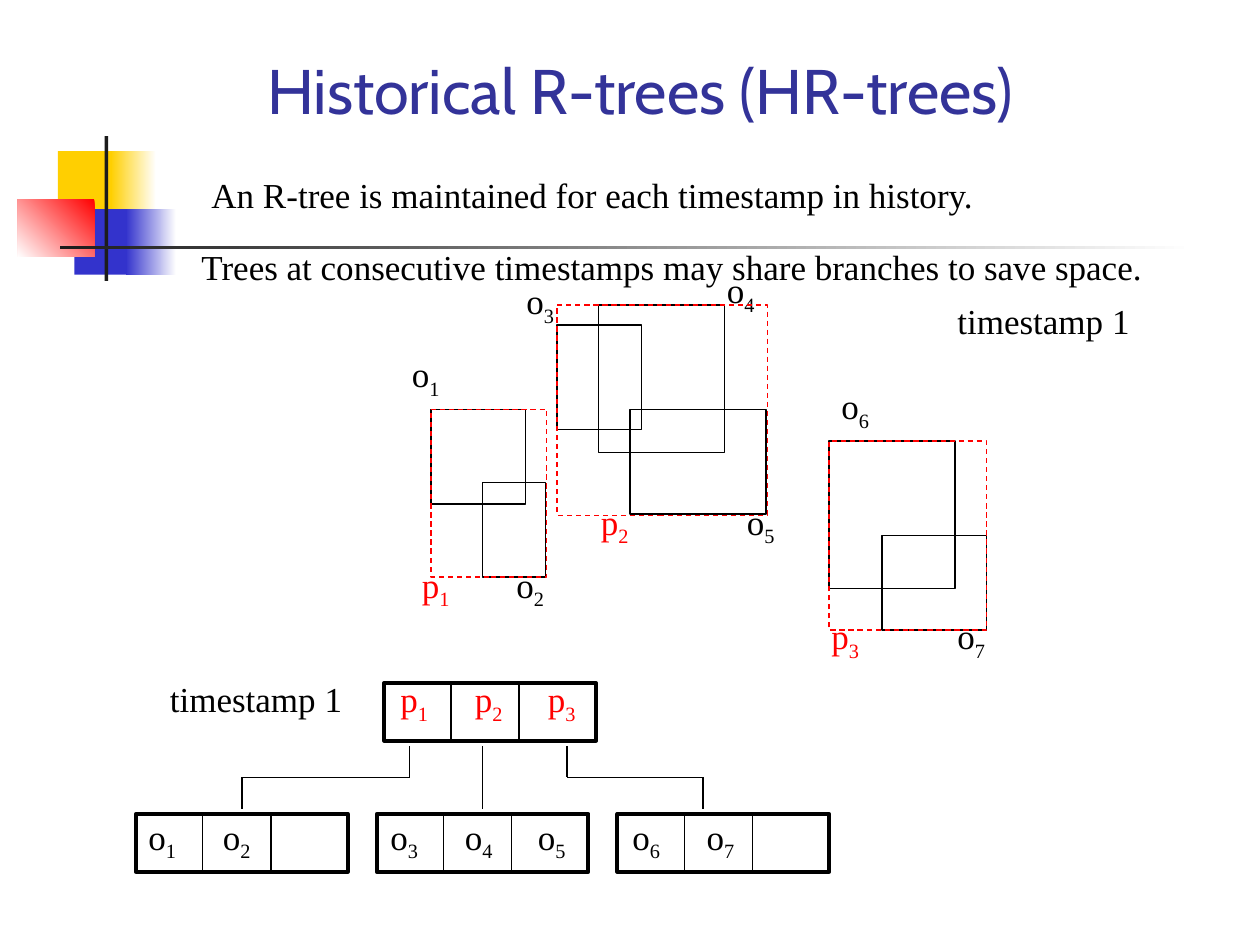
from lxml import etree
from pptx import Presentation
from pptx import util as u
from pptx.dml.color import RGBColor
from pptx.enum import dml, shapes, text
from pptx.oxml.ns import qn

Inches = u.Inches
BLACK = RGBColor(0, 0, 0)
WHITE = RGBColor(255, 255, 255)
RED = RGBColor(255, 0, 0)
YELLOW = RGBColor(0xFF, 0xCF, 0x01)
BLUE = RGBColor(0x33, 0x33, 0xCC)
CHARCOAL = RGBColor(0x1C, 0x1C, 0x1C)
NAVY = RGBColor(0x33, 0x33, 0x99)

deck = Presentation()
deck.slide_width, deck.slide_height = Inches(10), Inches(7.5)
slide = deck.slides.add_slide(deck.slide_layouts[5])


def write(words, left, top, width, height, sub="", color=BLACK, size=20,
          font="Times New Roman", align=text.PP_ALIGN.LEFT,
          anchor=text.MSO_ANCHOR.TOP, holder=None):
    box = holder or slide.shapes.add_textbox(0, 0, 0, 0)
    box.left, box.top = Inches(left), Inches(top)
    box.width, box.height = Inches(width), Inches(height)
    frame = box.text_frame
    frame.word_wrap = True
    frame.auto_size = text.MSO_AUTO_SIZE.NONE
    frame.vertical_anchor = anchor
    paragraph = frame.paragraphs[0]
    paragraph.alignment = align
    paragraph.space_before = u.Pt(0)
    for part in filter(None, (words, sub)):
        run = paragraph.add_run()
        run.text = part
        run.font.size = u.Pt(size)
        run.font.name = font
        run.font.color.rgb = color
    if sub:
        run.font._element.set("baseline", "-25000")


def rectangle(left, top, width, height, line=None, weight=0.75, fills=(), angle=180):
    rect = slide.shapes.add_shape(shapes.MSO_SHAPE.RECTANGLE, Inches(left),
                                  Inches(top), Inches(width), Inches(height))
    rect.shadow.inherit = False
    if len(fills) == 2:
        rect.fill.gradient()
        rect.fill.gradient_angle = angle
        for stop, color, position in zip(rect.fill.gradient_stops, fills, (0, 1)):
            stop.color.rgb = color
            stop.position = position
    elif fills:
        rect.fill.solid()
        rect.fill.fore_color.rgb = fills[0]
    else:
        rect.fill.background()
    if line is None:
        rect.line.fill.background()
    else:
        rect.line.color.rgb = line
        rect.line.width = u.Pt(weight)
    return rect


for left, top, width, height, fills, angle in (
    (0.46, 1.2, 0.48, 0.52, (YELLOW,), 0),
    (0.88, 1.2, 0.36, 0.52, (WHITE, YELLOW), 180),
    (0.59, 1.66, 0.46, 0.52, (BLUE,), 0),
    (1, 1.66, 0.4, 0.52, (WHITE, BLUE), 180),
    (0.14, 1.58, 0.61, 0.46, (RED, WHITE), 225),
    (0.83, 1.08, 0.03, 1.15, (CHARCOAL,), 0),
    (0.48, 1.95, 9, 0.03, (WHITE, CHARCOAL), 180),
):
    rectangle(left, top, width, height, fills=fills, angle=angle)

write("Historical R-trees (HR-trees)", 0.83, 0.42, 8.5, 0.58, color=NAVY, size=36,
      font="Cabin", align=text.PP_ALIGN.CENTER, anchor=text.MSO_ANCHOR.MIDDLE,
      holder=slide.shapes.title)

objects = {
    "1": ((3.42, 3.25, 0.75, 0.75), (3.17, 2.75)),
    "2": ((3.83, 3.83, 0.5, 0.75), (4, 4.42)),
    "3": ((4.42, 2.58, 0.67, 0.83), (4.08, 2.17)),
    "4": ((4.75, 2.42, 1, 1.17), (5.67, 2.08)),
    "5": ((5, 3.25, 1.08, 0.83), (5.83, 3.92)),
    "6": ((6.58, 3.5, 1, 1.17), (6.58, 3)),
    "7": ((7, 4.25, 0.83, 0.75), (7.5, 4.83)),
}
for number, (extent, label) in objects.items():
    rectangle(*extent, line=BLACK)
    write("o", *label, 1.08, 0.48, sub=number)

bounds = {
    "1": ((3.42, 3.25, 0.92, 1.33), (3.25, 4.42)),
    "2": ((4.42, 2.42, 1.67, 1.67), (4.67, 3.92)),
    "3": ((6.58, 3.5, 1.25, 1.5), (6.5, 4.83)),
}
for number, (extent, label) in bounds.items():
    rectangle(*extent, line=RED).line.dash_style = dml.MSO_LINE.DASH
    write("p", *label, 0.99, 0.48, sub=number, color=RED)

tree_lines = [
    (3.83, 5.92, 3.83, 6.42),
    (3.25, 5.92, 3.25, 6.17),
    (3.25, 6.17, 1.92, 6.17),
    (1.92, 6.17, 1.92, 6.42),
    (4.5, 5.92, 4.5, 6.17),
    (4.5, 6.17, 5.58, 6.17),
    (5.58, 6.17, 5.58, 6.42),
]
for left, top, letter, numbers, label_left, label_top, color in (
    (3.05, 5.42, "p", "123", 3.08, 5.33, RED),
    (1.08, 6.46, "o", "12", 1.08, 6.42, BLACK),
    (2.99, 6.46, "o", "345", 3, 6.42, BLACK),
    (4.9, 6.46, "o", "67", 4.92, 6.42, BLACK),
):
    rectangle(left, top, 1.68, 0.46, line=BLACK, weight=2.25)
    for offset in (0.53, 1.07):
        tree_lines.append((left + offset, top, left + offset, top + 0.46))
    for offset, number in zip((0, 0.59, 1.17), numbers):
        write(letter, label_left + offset, label_top, 0.99, 0.48, sub=number, color=color)

for ends in tree_lines:
    branch = slide.shapes.add_connector(shapes.MSO_CONNECTOR.STRAIGHT,
                                        *(Inches(end) for end in ends))
    branch.line.color.rgb = BLACK
    branch.line.width = u.Pt(0.75)
    etree.SubElement(branch._element.spPr, qn("a:effectLst"))

for words, left, top, width in (
    ("timestamp 1", 1.25, 5.33, 2),
    ("timestamp 1", 7.5, 2.33, 2),
    ("An R-tree is maintained for each timestamp in history.", 1.58, 1.33, 7.67),
    ("Trees at consecutive timestamps may share branches to save space.", 1.5, 1.9, 8.25),
):
    write(words, left, top, width, 0.44)

deck.save("out.pptx")
